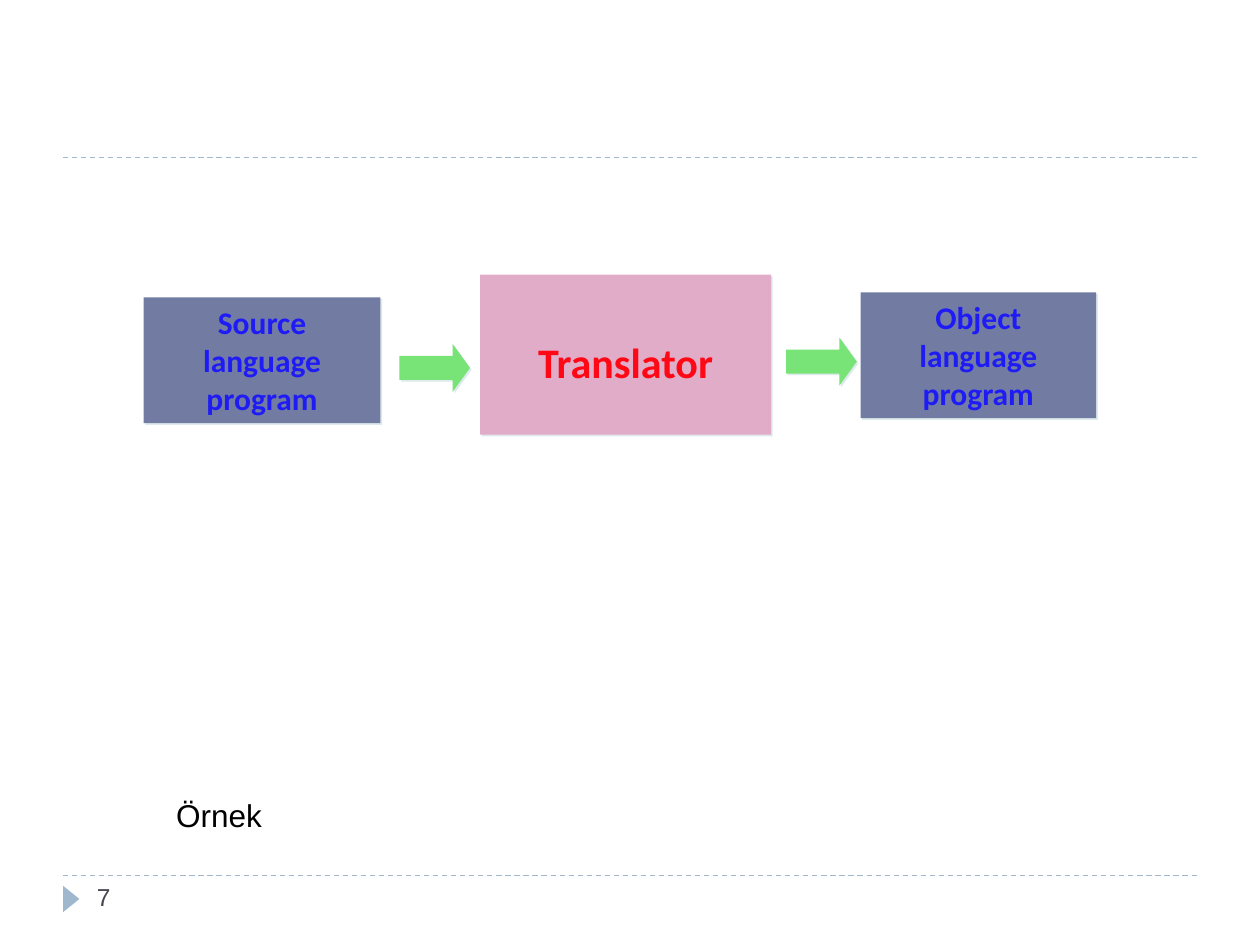
from dataclasses import dataclass

from lxml import etree
from pptx import Presentation
from pptx import util as u
from pptx.dml.color import RGBColor
from pptx.enum import dml, shapes, text
from pptx.oxml import ns


@dataclass(frozen=True)
class Theme:
    """Colours, fonts and type sizes of the slide."""
    rule: str = "9FB8CD"
    shadow: str = "DDE9EC"
    program: str = "727CA3"
    translator: str = "E0ACC8"
    arrow: str = "78E376"
    program_text: str = "1E1BF5"
    translator_text: str = "FF0714"
    number_text: str = "464653"
    body_text: str = "000000"
    box_font: str = "Calibri"
    body_font: str = "Arial"
    large: int = 24
    medium: int = 18
    small: int = 14


THEME = Theme()


def add_effects(s, shadow=False):
    """Give a shape or connector its own effect list, with or without a shadow."""
    effects = etree.SubElement(s._element.spPr, ns.qn("a:effectLst"))
    if shadow:
        outer = etree.SubElement(effects, ns.qn("a:outerShdw"), dist=str(u.Pt(1.4)),
                                 dir="2700000", algn="ctr", rotWithShape="0")
        etree.SubElement(outer, ns.qn("a:srgbClr"), val=THEME.shadow)


def add_rule(slide, y):
    """Draw a dashed rule across the slide."""
    s = slide.shapes.add_connector(shapes.MSO_CONNECTOR.STRAIGHT, u.Inches(0.5), u.Inches(y),
                                   u.Inches(9.5), u.Inches(y))
    s.line.color.rgb = RGBColor.from_string(THEME.rule)
    s.line.width = u.Pt(0.75)
    s.line.dash_style = dml.MSO_LINE.DASH
    add_effects(s)


def add_block(slide, kind, box, fill, shadow=True):
    """Add a filled preset shape without an outline."""
    s = slide.shapes.add_shape(kind, *map(u.Inches, box))
    s.fill.solid()
    s.fill.fore_color.rgb = RGBColor.from_string(fill)
    s.line.fill.background()
    add_effects(s, shadow)
    return s


def write(s, words, font, size, color, bold=False, align=text.PP_ALIGN.LEFT, inset=0.1):
    """Write one top-anchored paragraph and return it."""
    tf = s.text_frame
    tf.word_wrap = True
    tf.vertical_anchor = text.MSO_ANCHOR.TOP
    tf.margin_left = tf.margin_right = u.Inches(inset)
    p = tf.paragraphs[0]
    p.alignment = align
    r = p.add_run()
    r.text = words
    r.font.name = font
    r.font.size = u.Pt(size)
    r.font.bold = bold
    r.font.color.rgb = RGBColor.from_string(color)
    return p


def add_box(slide, words, box, fill, size, color):
    """Add a stage of the diagram with a bold centred label."""
    s = add_block(slide, shapes.MSO_SHAPE.RECTANGLE, box, fill)
    return write(s, words, THEME.box_font, size, color, True, text.PP_ALIGN.CENTER, 0.15)


def add_arrow(slide, x, y):
    """Add a right arrow between two stages."""
    s = add_block(slide, shapes.MSO_SHAPE.RIGHT_ARROW, (x, y, 0.56, 0.38), THEME.arrow)
    s.adjustments[1] = 0.36


def add_label(slide, words, box, size, color):
    """Add a plain text box."""
    s = slide.shapes.add_textbox(*map(u.Inches, box))
    write(s, words, THEME.body_font, size, color)


def main():
    """Build the translator slide."""
    prs = Presentation()
    prs.slide_width, prs.slide_height = u.Inches(10), u.Inches(7.5)
    slide = prs.slides.add_slide(prs.slide_layouts[6])
    for y in (6.95, 1.25):
        add_rule(slide, y)
    marker = add_block(slide, shapes.MSO_SHAPE.ISOSCELES_TRIANGLE, (0.46, 7.07, 0.21, 0.13),
                       THEME.rule, shadow=False)
    marker.rotation = 90
    p = add_box(slide, "Translator", (3.81, 2.18, 2.31, 1.27), THEME.translator,
                THEME.large, THEME.translator_text)
    p.line_spacing = 2.1
    for words, box in (("Source language program", (1.14, 2.36, 1.88, 1)),
                       ("Object language program", (6.83, 2.32, 1.87, 1))):
        add_box(slide, words, box, THEME.program, THEME.medium, THEME.program_text)
    for x, y in ((3.17, 2.73), (6.24, 2.68)):
        add_arrow(slide, x, y)
    add_label(slide, "7", (0.67, 6.95, 2.17, 0.4), THEME.small, THEME.number_text)
    add_label(slide, "Örnek", (1.3, 6.27, 1.18, 0.4), THEME.medium, THEME.body_text)
    prs.save("out.pptx")


if __name__ == "__main__":
    main()
